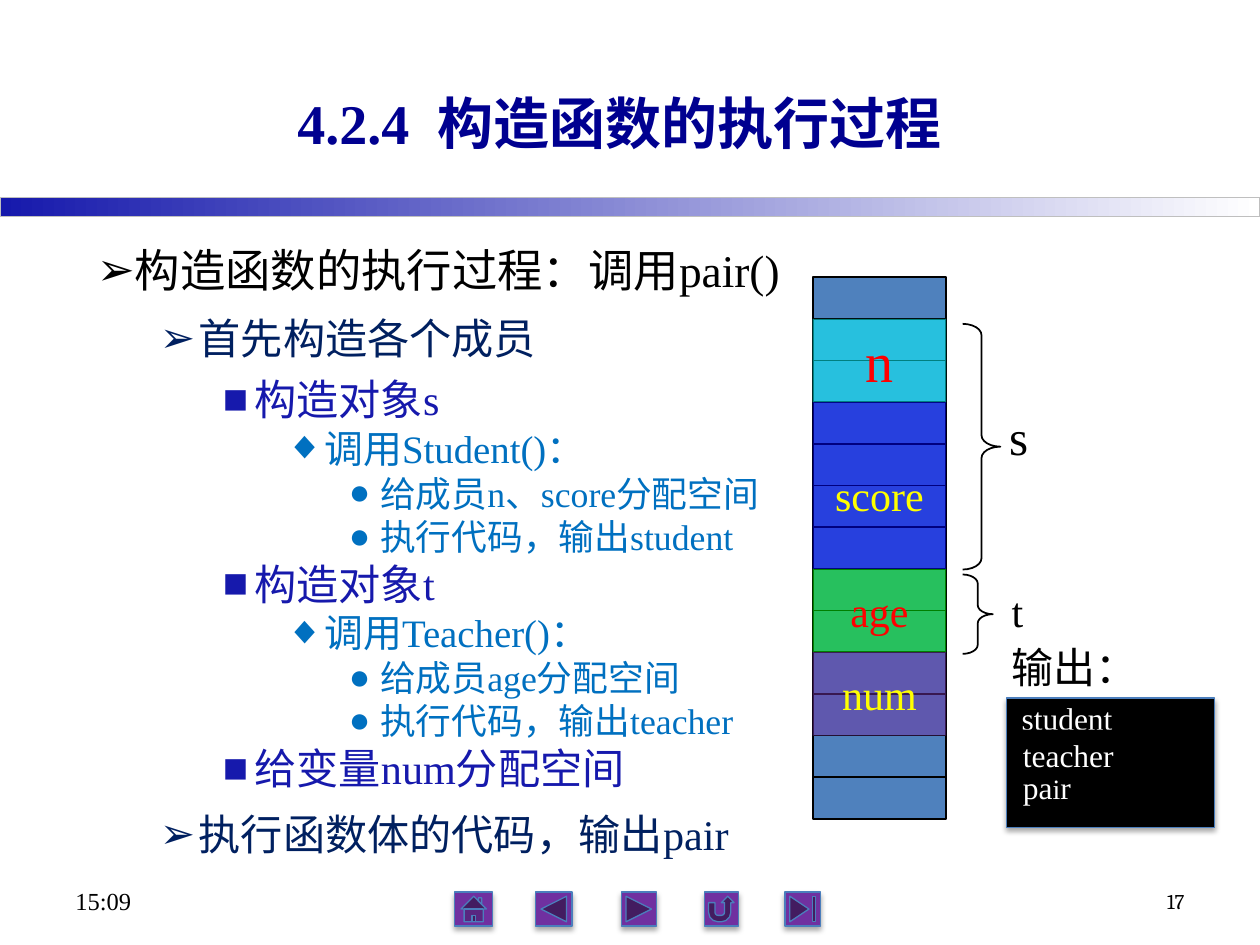
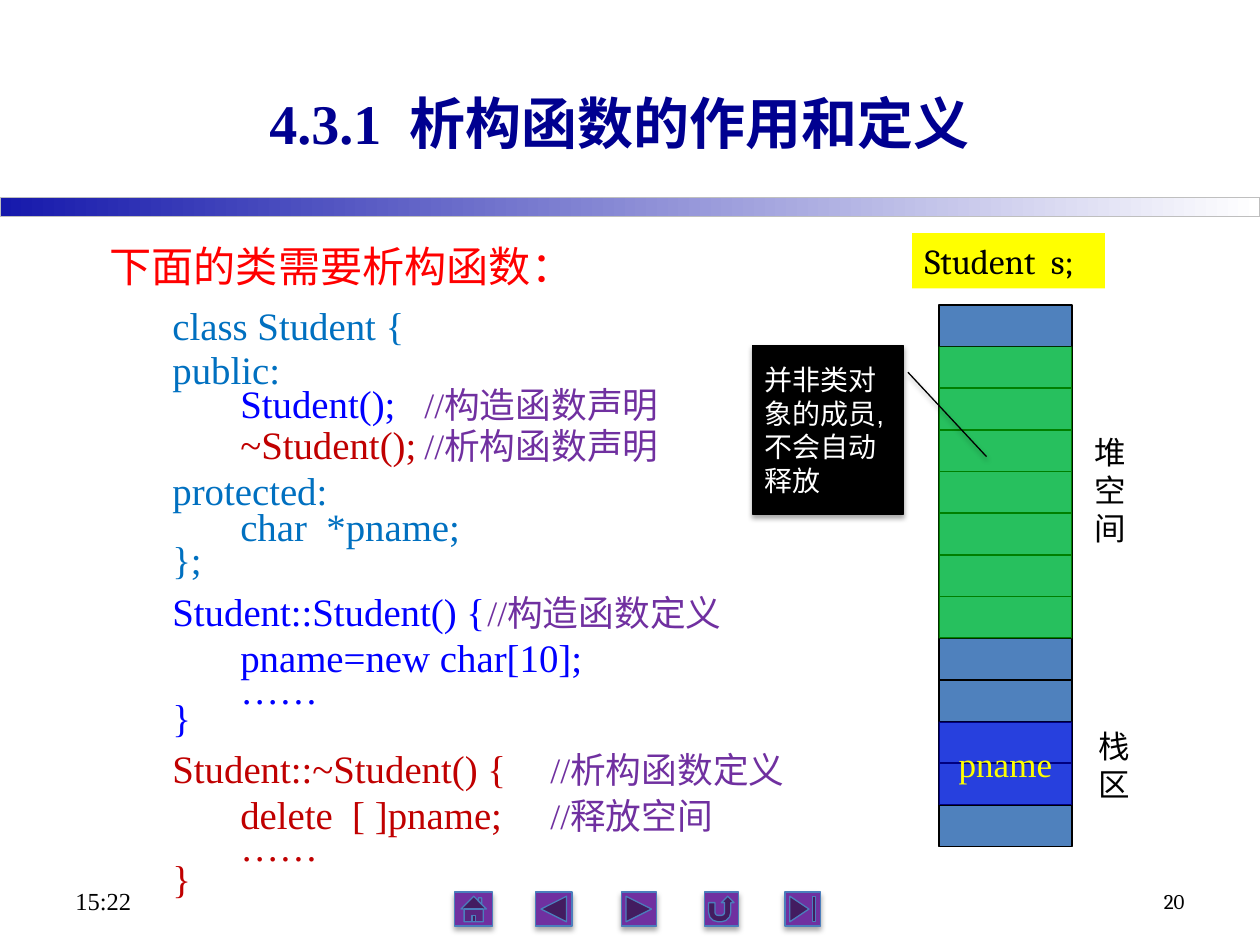
"""Build two lecture slides on constructors and destructors."""
from dataclasses import dataclass
from typing import Any

import pptx
import pptx.dml.color
import pptx.enum.shapes
import pptx.enum.text
import pptx.oxml
import pptx.oxml.ns
import pptx.util

KINDS = pptx.enum.shapes.MSO_SHAPE
ALIGN = pptx.enum.text.PP_ALIGN
ANCHOR = pptx.enum.text.MSO_ANCHOR
WIDTH, HEIGHT = pptx.util.Inches(10), pptx.util.Inches(7.5)
COLUMNS, ROWS = 100, 75
SERIF, BOOK, SANS = "Times New Roman", "Cambria", "Arial"
BLACK, WHITE, RED, YELLOW = "000000", "FFFFFF", "FF0000", "FFFF00"
NAVY, INDIGO, SKY, BLUE = "002060", "1619AC", "0070C0", "0000FF"
CRIMSON, PURPLE, EDGE, GREEN = "C00000", "7030A0", "4B7EBC", "00FF00"
CELL_ROWS, CELL_COUNT, MEMORY_COLS = 43 / 13, 13, 10.6
ARROW, SQUARE, DIAMOND, DOT = "➢■◆●"
CODE_SIZE, NOTE_SIZE = 22.2, 20.4


@dataclass(frozen=True)
class Area:
    col: float
    row: float
    cols: float
    rows: float

    def emu(self) -> tuple[int, int, int, int]:
        return (x(self.col), y(self.row), x(self.cols), y(self.rows))


@dataclass(frozen=True)
class Span:
    text: str
    size: float
    color: str = BLACK
    font: str = SERIF
    bold: bool = False


@dataclass(frozen=True)
class Line:
    spans: tuple[Span, ...]
    left: float = 0
    indent: float = 0
    spacing: float = 1
    before: float = 0
    bullet: str = ""
    tab: float = 0
    align: Any = ALIGN.LEFT


@dataclass(frozen=True)
class Level:
    left: float
    hang: float
    size: float
    color: str
    bullet: str


@dataclass(frozen=True)
class Slot:
    first: int
    count: int
    color: str
    label: Span | None = None
    spacing: float = 1


@dataclass(frozen=True)
class Code:
    text: str
    color: str
    spacing: float
    note: str = ""
    tab: float = 0
    before: float = CODE_SIZE / 4


LEVELS = (
    Level(2, 2, 25.9, BLACK, ARROW),
    Level(8.1, 3.1, 24.1, NAVY, ARROW),
    Level(12.5, 2.5, 24.1, INDIGO, SQUARE),
    Level(17.5, 2.5, 22.2, SKY, DIAMOND),
    Level(22.5, 2.5, 20.4, SKY, DOT),
)
STEPS = (
    (0, "构造函数的执行过程：调用pair()", 1.1),
    (1, "首先构造各个成员", 1.1),
    (2, "构造对象s", 1),
    (3, "调用Student()：", 0.8),
    (4, "给成员n、score分配空间", 0.8),
    (4, "执行代码，输出student", 0.8),
    (2, "构造对象t", 0.8),
    (3, "调用Teacher()：", 0.8),
    (4, "给成员age分配空间", 0.8),
    (4, "执行代码，输出teacher", 0.8),
    (2, "给变量num分配空间", 0.8),
    (1, "执行函数体的代码，输出pair", 1.1),
)
LISTING = (
    Code("class Student {", SKY, 1, before=6),
    Code("public:", SKY, 0.7),
    Code("       Student();", BLUE, 0.5, "//构造函数声明", 26.6),
    Code("       ~Student();", CRIMSON, 0.7, "//析构函数声明", 26.8),
    Code("protected:", SKY, 0.8),
    Code("       char  *pname;", SKY, 0.5),
    Code("};", SKY, 0.5),
    Code("Student::Student() {", BLUE, 0.7, "//构造函数定义", 32.2, 12),
    Code("       pname=new char[10];", BLUE, 0.8),
    Code("       ……", BLUE, 0.4),
    Code("}", BLUE, 0.4),
    Code("Student::~Student() {", CRIMSON, 0.7, "//析构函数定义", 34.7, 12),
    Code("       delete  [ ]pname;", CRIMSON, 0.8, "//释放空间", 34.3),
    Code("       ……", CRIMSON, 0.4),
    Code("}", CRIMSON, 0.5),
)
BUTTONS = (
    (KINDS.ACTION_BUTTON_HOME, 36.1, 3),
    (KINDS.ACTION_BUTTON_BACK_OR_PREVIOUS, 42.5, 2.9),
    (KINDS.ACTION_BUTTON_FORWARD_OR_NEXT, 49.3, 2.8),
    (KINDS.ACTION_BUTTON_RETURN, 55.9, 2.7),
    (KINDS.ACTION_BUTTON_END, 62.3, 2.8),
)


def x(cols: float) -> int:
    """Convert grid columns to a length."""
    return round(WIDTH * cols / COLUMNS)


def y(rows: float) -> int:
    """Convert grid rows to a length."""
    return round(HEIGHT * rows / ROWS)


def rgb(color: str) -> pptx.dml.color.RGBColor:
    """Turn a hex string into a colour."""
    return pptx.dml.color.RGBColor.from_string(color)


def apply(target: Any, values: dict[str, Any]) -> None:
    """Set each named attribute on the target."""
    for name, value in values.items():
        setattr(target, name, value)


def add_xml(parent: Any, body: str) -> None:
    """Append a drawing element given as XML with a namespace slot."""
    parent.append(pptx.oxml.parse_xml(body.replace("NS", pptx.oxml.ns.nsdecls("a"), 1)))


def outline(line: Any, color: str, width: float) -> None:
    """Give a line its colour and width."""
    line.color.rgb = rgb(color)
    line.width = pptx.util.Pt(width)


def write(holder: Any, lines: tuple[Line, ...], anchor: Any = ANCHOR.TOP) -> None:
    """Fill a shape with formatted paragraphs."""
    frame = holder.text_frame
    apply(frame, {"word_wrap": True, "vertical_anchor": anchor})
    for number, line in enumerate(lines):
        paragraph = frame.add_paragraph() if number else frame.paragraphs[0]
        apply(paragraph, {"alignment": line.align, "line_spacing": line.spacing})
        if number:
            paragraph.space_before = pptx.util.Pt(line.before)
        properties = paragraph._p.get_or_add_pPr()
        properties.set("marL", str(x(line.left)))
        properties.set("indent", str(x(line.indent)))
        if line.bullet:
            add_xml(properties, f'<a:buFont NS typeface="{SANS}"/>')
            add_xml(properties, f'<a:buChar NS char="{line.bullet}"/>')
        if line.tab:
            add_xml(properties, f'<a:tabLst NS><a:tab pos="{x(line.tab)}" algn="l"/></a:tabLst>')
        for span in line.spans:
            run = paragraph.add_run()
            run.text = span.text
            apply(run.font, {"name": span.font, "size": pptx.util.Pt(span.size), "bold": span.bold})
            run.font.color.rgb = rgb(span.color)


def add_text(slide: Any, area: Area, *spans: Span, align: Any = ALIGN.LEFT,
             anchor: Any = ANCHOR.TOP) -> None:
    """Add a text box with one paragraph."""
    write(slide.shapes.add_textbox(*area.emu()), (Line(spans, align=align),), anchor)


def add_block(shapes: Any, kind: Any, area: Area, fill: str = "", edge: str = "",
              width: float = 0.75, alpha: int = 100, raised: bool = False) -> Any:
    """Add a preset shape with its fill, edge and optional shadow."""
    block = shapes.add_shape(kind, *area.emu())
    block.shadow.inherit = False
    if fill:
        block.fill.solid()
        block.fill.fore_color.rgb = rgb(fill)
    else:
        block.fill.background()
    if alpha < 100:
        tint = block.fill._xPr.find(".//" + pptx.oxml.ns.qn("a:srgbClr"))
        add_xml(tint, f'<a:alpha NS val="{alpha * 1000}"/>')
    if edge:
        outline(block.line, edge, width)
    else:
        block.line.fill.background()
    if raised:
        effects = block._element.spPr.find(pptx.oxml.ns.qn("a:effectLst"))
        add_xml(effects, '<a:outerShdw NS blurRad="39370" dist="22860" dir="5400000" rotWithShape="0">'
                         '<a:srgbClr val="000000"><a:alpha val="35000"/></a:srgbClr></a:outerShdw>')
    return block


def add_frame(deck: Any, title: str, clock: str, page: str) -> Any:
    """Start a slide with its band, navigation, title and footer."""
    slide = deck.slides.add_slide(deck.slide_layouts[6])
    band = add_block(slide.shapes, KINDS.RECTANGLE, Area(0, 15.7, COLUMNS, 1.5), WHITE, "BFBFBF")
    band.fill.gradient()
    band.fill.gradient_angle = 0
    for stop, color in zip(band.fill.gradient_stops, (INDIGO, WHITE)):
        stop.color.rgb = rgb(color)
    for kind, col, cols in BUTTONS:
        add_block(slide.shapes, kind, Area(col, 70.8, cols, 2.7), PURPLE, EDGE, raised=True)
    add_text(slide, Area(10.2, 3.4, 78, 12.5), Span(title, 32, "000090", bold=True),
             align=ALIGN.CENTER, anchor=ANCHOR.MIDDLE)
    add_text(slide, Area(5, 69.5, 23.3, 4), Span(clock, 14), anchor=ANCHOR.MIDDLE)
    add_text(slide, Area(71.7, 69.5, 23.3, 4), Span(page, 12, font=BOOK),
             align=ALIGN.RIGHT, anchor=ANCHOR.MIDDLE)
    return slide


def add_memory(slide: Any, col: float, row: float, slots: tuple[Slot, ...]) -> None:
    """Draw a column of memory cells and tint the occupied slots."""
    cells = slide.shapes.add_group_shape().shapes
    add_block(cells, KINDS.RECTANGLE, Area(col, row, MEMORY_COLS, CELL_ROWS * CELL_COUNT),
              "4F81BD", BLACK, 1)
    for number in range(1, CELL_COUNT):
        level = y(row + number * CELL_ROWS)
        divider = cells.add_connector(pptx.enum.shapes.MSO_CONNECTOR.STRAIGHT,
                                      x(col), level, x(col + MEMORY_COLS), level)
        outline(divider.line, BLACK, 1)
        add_xml(divider._element.spPr, "<a:effectLst NS/>")
    for slot in slots:
        area = Area(col, row + slot.first * CELL_ROWS, MEMORY_COLS, slot.count * CELL_ROWS)
        member = add_block(slide.shapes, KINDS.RECTANGLE, area, slot.color, alpha=50)
        if slot.label:
            write(member, (Line((slot.label,), spacing=slot.spacing, align=ALIGN.CENTER),), ANCHOR.MIDDLE)


def build_constructor(deck: Any) -> None:
    """Build the slide on how a constructor runs."""
    slide = add_frame(deck, "4.2.4  构造函数的执行过程", "15:09", "17")
    steps = []
    for depth, text, spacing in STEPS:
        level = LEVELS[depth]
        steps.append(Line((Span(text, level.size, level.color),), level.left, -level.hang,
                          spacing, level.size / 4, level.bullet))
    write(slide.shapes.add_textbox(*Area(6.7, 18.3, 85, 48.9).emu()), tuple(steps))
    add_memory(slide, 64.5, 22, (
        Slot(1, 2, "00FFFF", Span("n", 32, RED)),
        Slot(7, 2, GREEN, Span("age", 24, RED)),
        Slot(9, 2, PURPLE, Span("num", 24, YELLOW)),
        Slot(3, 4, BLUE, Span("score", 24, YELLOW), 1.35),
    ))
    for extent in (Area(76.4, 25.7, 3, 19.5), Area(76.4, 45.6, 2.4, 6.3)):
        brace = add_block(slide.shapes, KINDS.RIGHT_BRACE, extent, edge=BLACK, width=1)
        brace.adjustments[0] = 0.3
    add_text(slide, Area(79.1, 31.8, 4.5, 5.6), Span("s", 28))
    add_text(slide, Area(79.3, 46, 4.5, 5), Span("t", 24))
    add_text(slide, Area(79.3, 50.4, 12.3, 5), Span("输出：", 24))
    add_block(slide.shapes, KINDS.RECTANGLE, Area(79.9, 55.4, 16.5, 10.3), BLACK, EDGE, raised=True)
    output = (
        (Area(80.1, 55.6, 12.3, 3.4), 0.8, (Span("student", 18, WHITE),)),
        (Area(80.2, 60.5, 12.3, 4), 1,
         (Span("pa", 18, WHITE), Span("i", 16, WHITE), Span("r", 18, WHITE))),
        (Area(80.2, 57.9, 12.3, 4), 1, (Span("teacher", 18, WHITE),)),
    )
    for area, spacing, spans in output:
        write(add_block(slide.shapes, KINDS.RECTANGLE, area, BLACK), (Line(spans, spacing=spacing),))


def build_destructor(deck: Any) -> None:
    """Build the slide on what a destructor is for."""
    slide = add_frame(deck, "4.3.1  析构函数的作用和定义", "15:22", "20")
    lines = [Line((Span("下面的类需要析构函数：", 24.1, RED),))]
    for code in LISTING:
        spans = (Span(code.text, CODE_SIZE, code.color),)
        if code.note:
            spans += (Span("\t" + code.note, NOTE_SIZE, PURPLE),)
        lines.append(Line(spans, indent=5, spacing=code.spacing, before=code.before, tab=code.tab))
    write(slide.shapes.add_textbox(*Area(7.7, 18.6, 83, 53).emu()), tuple(lines))
    add_memory(slide, 74.5, 24.2, (
        Slot(10, 2, BLUE, Span("pname", 20, YELLOW)),
        Slot(1, 7, GREEN),
    ))
    add_text(slide, Area(86.2, 57.2, 3.4, 7.1), Span("栈区", 18, font=BOOK))
    add_text(slide, Area(85.9, 33.9, 3.4, 10.1), Span("堆空间", 18, font=BOOK))
    warning = add_block(slide.shapes, KINDS.LINE_CALLOUT_1, Area(59.7, 27.4, 12, 13.4),
                        BLACK, BLACK, raised=True)
    for number, share in enumerate((0.16, 1.03, 0.66, 1.55)):
        warning.adjustments[number] = share
    write(warning, (Line((Span("并非类对象的成员,不会自动释放", 16, WHITE, SANS),)),), ANCHOR.MIDDLE)
    declaration = add_block(slide.shapes, KINDS.RECTANGLE, Area(72.4, 18.5, 15.3, 4.4), YELLOW)
    write(declaration, (Line((Span("Student  s;", 20, font=BOOK),)),))


def main() -> None:
    """Build and save the deck."""
    deck = pptx.Presentation()
    apply(deck, {"slide_width": WIDTH, "slide_height": HEIGHT})
    build_constructor(deck)
    build_destructor(deck)
    deck.save("out.pptx")


if __name__ == "__main__":
    main()
